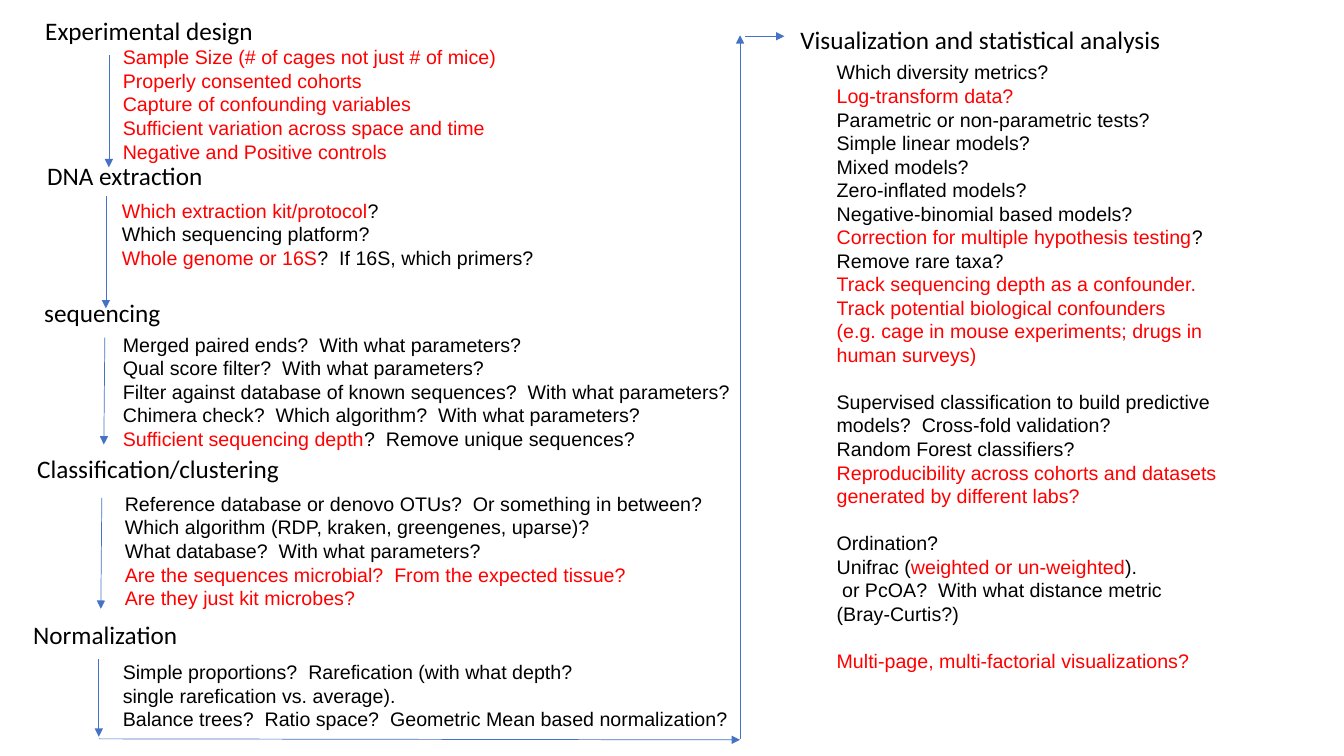
import pptx
import pptx.dml.color
import pptx.enum.shapes
import pptx.enum.text
import pptx.oxml
import pptx.oxml.ns
import pptx.util

PX = 9144  # 100 px to the inch
BLACK = pptx.dml.color.RGBColor(0x00, 0x00, 0x00)
RED = pptx.dml.color.RGBColor(0xFF, 0x00, 0x00)
BLUE = pptx.dml.color.RGBColor(0x44, 0x72, 0xC4)
LINE_PITCH = pptx.util.Pt(16.83)

# Headings: text, left, top, width
HEADINGS = [
    ("Experimental design", 35, 10, 228),
    ("DNA extraction", 37, 154, 176),
    ("sequencing", 34, 290, 137),
    ("Classification/clustering", 27, 445, 263),
    ("Normalization", 23, 609, 165),
    ("Visualization and statistical analysis", 784, 19, 381),
]

# Notes: box, wrap, groups of lines; text between asterisks is red
NOTES = [
    ((112, 40, 397, 128), False, [[
        "*Sample Size (# of cages not just # of mice)*",
        "*Properly consented cohorts*",
        "*Capture of confounding variables*",
        "*Sufficient variation across space and time*",
        "*Negative and Positive controls*",
    ]]),
    ((111, 192, 430, 81), False, [[
        "*Which extraction kit/protocol*?",
        "Which sequencing platform?",
        "*Whole genome or 16S*?  If 16S, which primers?",
    ]]),
    ((112, 325, 625, 128), False, [[
        "Merged paired ends?  With what parameters?",
        "Qual score filter?  With what parameters?",
        "Filter against database of known sequences?  With what parameters?",
        "Chimera check?  Which algorithm?  With what parameters?",
        "*Sufficient sequencing depth*?  Remove unique sequences?",
    ]]),
    ((114, 483, 596, 128), False, [[
        "Reference database or denovo OTUs?  Or something in between?",
        "Which algorithm (RDP, kraken, greengenes, uparse)?",
        "What database?  With what parameters?",
        "*Are the sequences microbial?  From the expected tissue?*",
        "*Are they just kit microbes?*",
    ]]),
    ((112, 650, 623, 81), False, [[
        "Simple proportions?  Rarefication (with what depth?",
        "single rarefication vs. average).",
        "Balance trees?  Ratio space?  Geometric Mean based normalization?",
    ]]),
    ((820, 55, 504, 623), True, [
        [
            "Which diversity metrics?",
            "*Log-transform data?*",
            "Parametric or non-parametric tests?",
            "Simple linear models?",
            "Mixed models?",
            "Zero-inflated models?",
            "Negative-binomial based models?",
            "*Correction for multiple hypothesis testing*?",
            "Remove rare taxa?",
            "*Track sequencing depth as a confounder.*",
            "*Track potential biological confounders*",
            "*(e.g. cage in mouse experiments; drugs in*",
            "*human surveys)*",
        ],
        [
            "Supervised classification to build predictive",
            "models?  Cross-fold validation?",
            "Random Forest classifiers?",
            "*Reproducibility across cohorts and datasets*",
            "*generated by different labs?*",
        ],
        [
            "Ordination?",
            "Unifrac (*weighted or un-weighted*).",
            " or PcOA?  With what distance metric",
            "(Bray-Curtis?)",
        ],
        ["*Multi-page, multi-factorial visualizations?*"],
    ]),
]

# Arrows: from x, from y, to x, to y
ARROWS = [
    (108, 55, 108, 166),
    (105, 194, 105, 306),
    (104, 335, 103, 441),
    (101, 494, 100, 604),
    (98, 654, 98, 731),
    (98, 733, 734, 734),
    (734, 733, 734, 35),
    (739, 36, 778, 36),
]


def add_text_frame(slide, box, wrap):
    shape = slide.shapes.add_textbox(*(value * PX for value in box))
    frame = shape.text_frame
    frame.word_wrap = wrap
    frame.auto_size = pptx.enum.text.MSO_AUTO_SIZE.SHAPE_TO_FIT_TEXT
    return frame


def add_run(paragraph, text, font_name, size, color):
    run = paragraph.add_run()
    run.text = text
    run.font.name = font_name
    run.font.size = pptx.util.Pt(size)
    run.font.color.rgb = color


def add_heading(slide, text, left, top, width):
    frame = add_text_frame(slide, (left, top, width, 40), False)
    add_run(frame.paragraphs[0], text, "Calibri", 18, BLACK)


def add_notes(slide, box, wrap, groups):
    frame = add_text_frame(slide, box, wrap)
    paragraph = frame.paragraphs[0]
    for group_index, lines in enumerate(groups):
        for line_index, line in enumerate(lines):
            if group_index or line_index:
                paragraph = frame.add_paragraph()
            paragraph.line_spacing = LINE_PITCH
            if group_index and not line_index:
                paragraph.space_before = LINE_PITCH
            for part_index, part in enumerate(line.split("*")):
                if part:
                    color = RED if part_index % 2 else BLACK
                    add_run(paragraph, part, "Arial", 14, color)


def add_arrow(slide, points):
    connector = slide.shapes.add_connector(
        pptx.enum.shapes.MSO_CONNECTOR.STRAIGHT, *(value * PX for value in points))
    connector.line.color.rgb = BLUE
    connector.line.width = pptx.util.Pt(0.5)
    line = connector.line._get_or_add_ln()
    namespace = pptx.oxml.ns.nsdecls("a")
    line.append(pptx.oxml.parse_xml(f'<a:tailEnd {namespace} type="triangle"/>'))
    line.addnext(pptx.oxml.parse_xml(f"<a:effectLst {namespace}/>"))


def main():
    presentation = pptx.Presentation()
    presentation.slide_width = 1333 * PX
    presentation.slide_height = 750 * PX
    slide = presentation.slides.add_slide(presentation.slide_layouts[6])

    # Workflow steps and the questions for each
    for heading in HEADINGS:
        add_heading(slide, *heading)
    for notes in NOTES:
        add_notes(slide, *notes)

    # Path from step to step
    for points in ARROWS:
        add_arrow(slide, points)

    presentation.save("out.pptx")


if __name__ == "__main__":
    main()
